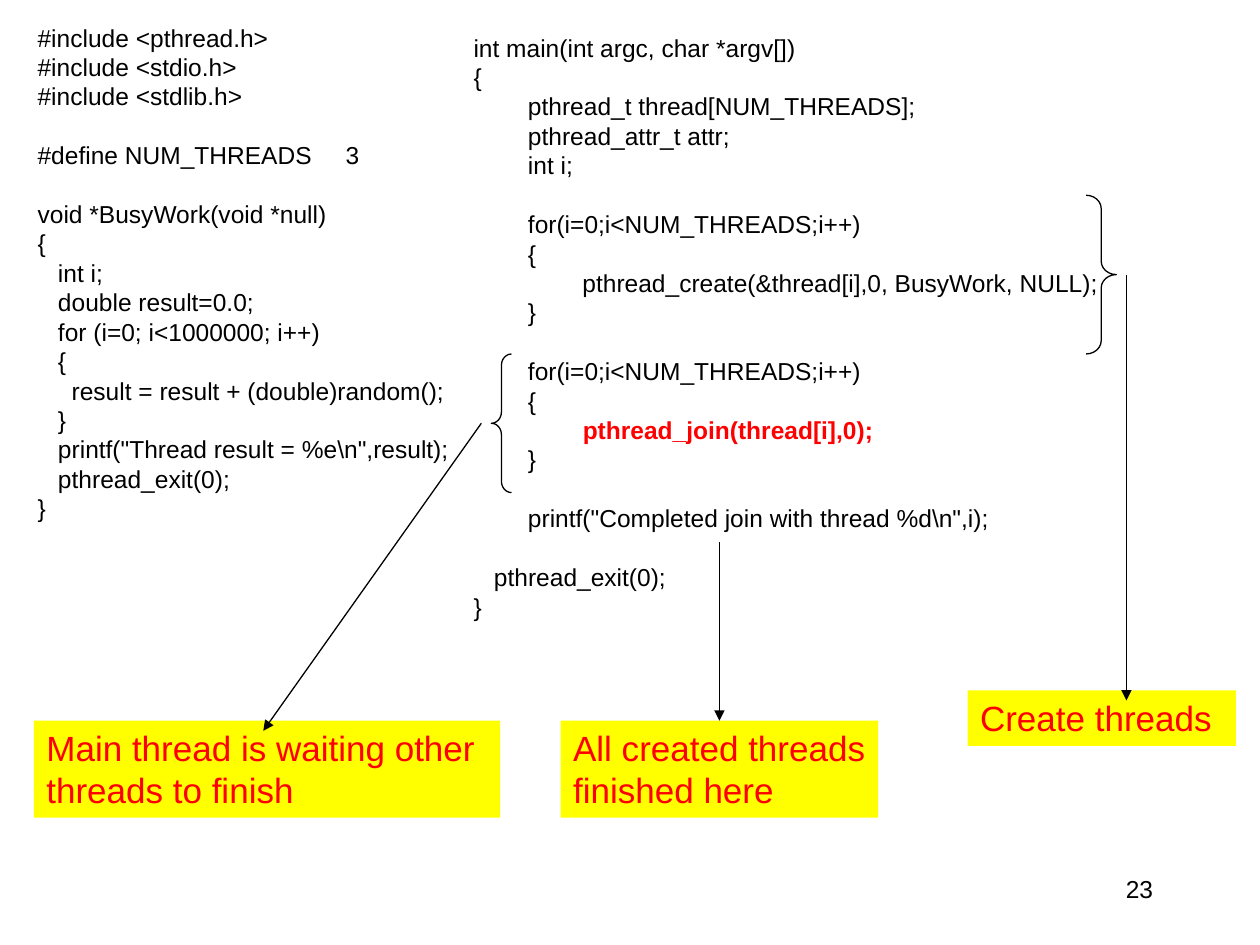
"""Build the slide that explains a pthread program with create and join callouts."""
from dataclasses import dataclass

from lxml.etree import SubElement
from pptx import Presentation
from pptx.dml.color import RGBColor
from pptx.enum.shapes import MSO_CONNECTOR, MSO_SHAPE
from pptx.enum.text import MSO_ANCHOR, PP_ALIGN
from pptx.oxml.ns import qn
from pptx.slide import Slide
from pptx.text.text import Font, TextFrame
from pptx.util import Inches, Length, Pt

BLACK = RGBColor(0x00, 0x00, 0x00)
RED = RGBColor(0xFF, 0x00, 0x00)
YELLOW = RGBColor(0xFF, 0xFF, 0x00)
FONT_NAME = "Arial"
CODE_SIZE = 14
CALLOUT_SIZE = 20
LINE_WIDTH = Pt(0.75)
COLUMNS, ROWS = 100, 75
CELL = 0.1
CALLOUT_ROW = 57.2
JOIN_CALL = "pthread_join(thread[i],0);"

WORKER_CODE = r"""#include <pthread.h>
#include <stdio.h>
#include <stdlib.h>

#define NUM_THREADS     3

void *BusyWork(void *null)
{
   int i;
   double result=0.0;
   for (i=0; i<1000000; i++)
   {
     result = result + (double)random();
   }
   printf("Thread result = %e\n",result);
   pthread_exit(0);
}"""

MAIN_CODE = r"""int main(int argc, char *argv[])
{
        pthread_t thread[NUM_THREADS];
        pthread_attr_t attr;
        int i;

        for(i=0;i<NUM_THREADS;i++)
        {
                pthread_create(&thread[i],0, BusyWork, NULL);
        }

        for(i=0;i<NUM_THREADS;i++)
        {
                pthread_join(thread[i],0);
        }

        printf("Completed join with thread %d\n",i);

   pthread_exit(0);
}"""


@dataclass(frozen=True)
class Area:
    """A rectangle in grid columns and rows."""

    column: float
    row: float
    columns: float
    rows: float

    def lengths(self) -> list[Length]:
        """Return left, top, width and height."""
        return [cells(n) for n in (self.column, self.row, self.columns, self.rows)]


@dataclass(frozen=True)
class TextBlock:
    """Text and the area that holds it."""

    text: str
    area: Area


@dataclass(frozen=True)
class Brace:
    """A curly brace with its curve radius as a share of its width."""

    kind: MSO_SHAPE
    area: Area
    curve: float


@dataclass(frozen=True)
class Arrow:
    """An arrow between two grid points."""

    start: tuple[float, float]
    end: tuple[float, float]


CODE_BLOCKS = (
    TextBlock(WORKER_CODE, Area(2, 1.3, 40.2, 40.7)),
    TextBlock(MAIN_CODE, Area(36.6, 2.1, 57.9, 47.7)),
)
CALLOUTS = (
    TextBlock("Create threads", Area(76.8, 54.8, 21.3, 4.4)),
    TextBlock("Main thread is waiting other threads to finish", Area(2.7, CALLOUT_ROW, 37, 7.7)),
    TextBlock("All created threads finished here", Area(44.5, CALLOUT_ROW, 25.2, 7.7)),
)
BRACES = (
    Brace(MSO_SHAPE.RIGHT_BRACE, Area(86.2, 15.5, 2.4, 12.6), 0.44),
    Brace(MSO_SHAPE.LEFT_BRACE, Area(39, 28.1, 1.6, 11), 0.56),
)
ARROWS = (
    Arrow((89.4, 21.8), (89.4, 55.6)),
    Arrow((38.2, 33.6), (20.9, 58)),
    Arrow((57.1, 43), (57.1, CALLOUT_ROW)),
)
PAGE_NUMBER = TextBlock("23", Area(71.7, 68.3, 20.8, 4.9))


def cells(count: float) -> Length:
    """Convert grid cells to a length."""
    return Inches(count * CELL)


def style_font(font: Font, size: int, color: RGBColor, bold: bool = False) -> None:
    """Apply the slide's typeface with a size, colour and weight."""
    font.name = FONT_NAME
    font.size = Pt(size)
    font.bold = bold
    font.color.rgb = color


def fill_frame(frame: TextFrame, text: str, size: int, color: RGBColor) -> None:
    """Write wrapped, top-left text and format all its spans."""
    frame.word_wrap = True
    frame.vertical_anchor = MSO_ANCHOR.TOP
    frame.text = text
    for paragraph in frame.paragraphs:
        paragraph.alignment = PP_ALIGN.LEFT
        if not paragraph.runs:
            style_font(Font(paragraph._p.get_or_add_endParaRPr()), size, color)
        for span in paragraph.runs:
            style_font(span.font, size, color)


def add_text(page: Slide, block: TextBlock) -> TextFrame:
    """Add a plain text box in the code size."""
    frame = page.shapes.add_textbox(*block.area.lengths()).text_frame
    fill_frame(frame, block.text, CODE_SIZE, BLACK)
    return frame


def highlight(frame: TextFrame, phrase: str) -> None:
    """Set a phrase that ends a line in bold red."""
    for paragraph in frame.paragraphs:
        if paragraph.text.endswith(phrase):
            paragraph.runs[0].text = paragraph.text.removesuffix(phrase)
            span = paragraph.add_run()
            span.text = phrase
            style_font(span.font, CODE_SIZE, RED, bold=True)


def add_callout(page: Slide, block: TextBlock) -> None:
    """Add a yellow box with red text."""
    box = page.shapes.add_shape(MSO_SHAPE.RECTANGLE, *block.area.lengths())
    box.shadow.inherit = False
    box.fill.solid()
    box.fill.fore_color.rgb = YELLOW
    box.line.fill.background()
    fill_frame(box.text_frame, block.text, CALLOUT_SIZE, RED)


def add_brace(page: Slide, brace: Brace) -> None:
    """Add an unfilled curly brace."""
    shape = page.shapes.add_shape(brace.kind, *brace.area.lengths())
    shape.shadow.inherit = False
    shape.adjustments[0] = brace.curve
    shape.fill.background()
    shape.line.color.rgb = BLACK
    shape.line.width = LINE_WIDTH


def add_arrow(page: Slide, arrow: Arrow) -> None:
    """Add a straight line that ends in a triangle."""
    ends = [cells(n) for n in (*arrow.start, *arrow.end)]
    connector = page.shapes.add_connector(MSO_CONNECTOR.STRAIGHT, *ends)
    connector.line.color.rgb = BLACK
    connector.line.width = LINE_WIDTH
    SubElement(connector.line._get_or_add_ln(), qn("a:tailEnd"), type="triangle")
    SubElement(connector._element.spPr, qn("a:effectLst"))


def main() -> None:
    """Build and save the deck."""
    deck = Presentation()
    deck.slide_width, deck.slide_height = cells(COLUMNS), cells(ROWS)
    page = deck.slides.add_slide(deck.slide_layouts[6])
    for block in CODE_BLOCKS:
        highlight(add_text(page, block), JOIN_CALL)
    for callout in CALLOUTS:
        add_callout(page, callout)
    for brace in BRACES:
        add_brace(page, brace)
    for arrow in ARROWS:
        add_arrow(page, arrow)
    number = add_text(page, PAGE_NUMBER).paragraphs[0]
    number.alignment = PP_ALIGN.RIGHT
    number.line_spacing = 1.24
    deck.save("out.pptx")


if __name__ == "__main__":
    main()
